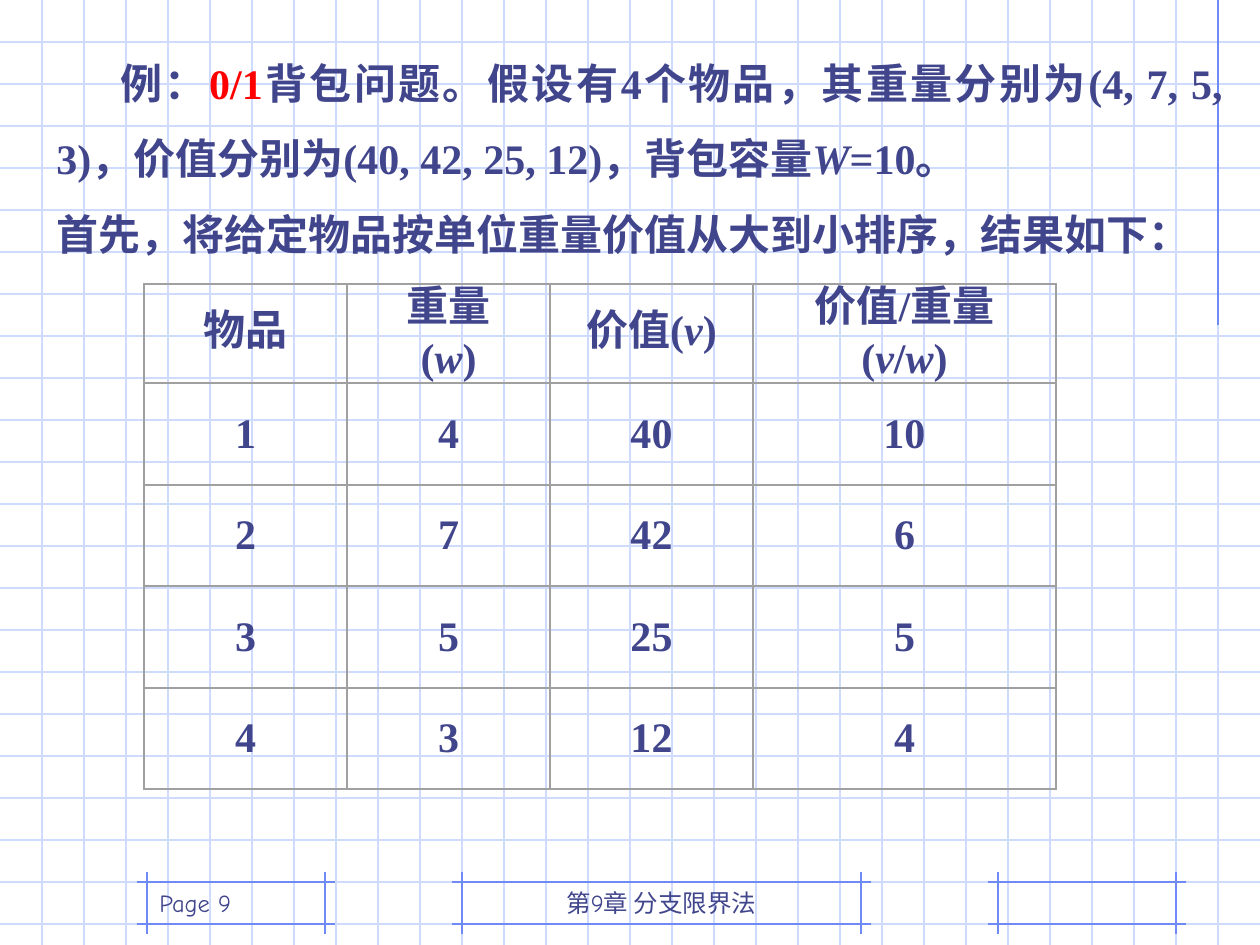
from lxml import etree
from pptx import Presentation
from pptx.dml.color import RGBColor
from pptx.enum.shapes import MSO_CONNECTOR
from pptx.enum.text import MSO_ANCHOR, PP_ALIGN
from pptx.oxml.ns import qn
from pptx.util import Emu, Pt

STRAIGHT = MSO_CONNECTOR.STRAIGHT
TOP, MIDDLE, BOTTOM = MSO_ANCHOR.TOP, MSO_ANCHOR.MIDDLE, MSO_ANCHOR.BOTTOM
LEFT, CENTER, JUSTIFY = PP_ALIGN.LEFT, PP_ALIGN.CENTER, PP_ALIGN.JUSTIFY

WIDTH, HEIGHT = 1260, 945
GRID_STEP = 42
INK, RED, GRID, FRAME, BORDER = "40458C", "FF0000", "CFDBFD", "6F89F7", "A0A0A0"
SERIF, HAND = "Times New Roman", "Comic Neue"

ITALIC = {"italic": True}
PROBLEM = [
    ("例：", {}),
    ("0/1", {"color": RED}),
    ("背包问题。假设有4个物品，其重量分别为(4, 7, 5, 3)，"
     "价值分别为(40, 42, 25, 12)，背包容量", {}),
    ("W", ITALIC),
    ("=10。", {}),
]
SORTING = [("首先，将给定物品按单位重量价值从大到小排序，结果如下：", {})]
HEADERS = [
    [("物品", {})],
    [("重量(", {}), ("w", ITALIC), (")", {})],
    [("价值(", {}), ("v", ITALIC), (")", {})],
    [("价值/重量(", {}), ("v", ITALIC), ("/", {}), ("w", ITALIC), (")", {})],
]
ITEMS = [(1, 4, 40, 10), (2, 7, 42, 6), (3, 5, 25, 5), (4, 3, 12, 4)]
COLUMN_WIDTHS = [203, 203, 203, 303]
ROW_HEIGHTS = [99, 102, 101, 102, 101]


def px(length):
    return Emu(round(length * 914400 / 126))


def rgb(color):
    return RGBColor.from_string(color)


def add_text(paragraph, text, size=24, font=SERIF, color=INK, bold=True, italic=False):
    run = paragraph.add_run()
    run.text = text
    run.font.size = Pt(size)
    run.font.name = font
    run.font.color.rgb = rgb(color)
    run.font.bold = bold
    run.font.italic = italic


def add_runs(paragraph, runs):
    for text, text_format in runs:
        add_text(paragraph, text, **text_format)


def add_line(slide, x1, y1, x2, y2, color):
    line = slide.shapes.add_connector(STRAIGHT, px(x1), px(y1), px(x2), px(y2))
    line.line.color.rgb = rgb(color)
    line.line.width = Pt(0.75)
    etree.SubElement(line._element.spPr, qn("a:effectLst"))


def add_text_box(slide, left, top, width, height, anchor):
    shape = slide.shapes.add_textbox(px(left), px(top), px(width), px(height))
    shape.text_frame.word_wrap = True
    shape.text_frame.vertical_anchor = anchor
    return shape.text_frame


def add_grid(slide, width, height):
    for y in range(GRID_STEP, height, GRID_STEP):
        add_line(slide, 0, y, width, y, GRID)
    for x in range(GRID_STEP, width, GRID_STEP):
        add_line(slide, x, 0, x, height, GRID)


def add_footer_frame(slide, left, top, width, height, overhang=10):
    right, bottom = left + width, top + height
    for y in (top, bottom):
        add_line(slide, left - overhang, y, right + overhang, y, FRAME)
    for x in (left, right):
        add_line(slide, x, top - overhang, x, bottom + overhang, FRAME)


def add_footer_label(slide, left, top, width, height, text, alignment):
    paragraph = add_text_box(slide, left, top, width, height, BOTTOM).paragraphs[0]
    paragraph.alignment = alignment
    add_text(paragraph, text, size=14, font=HAND, bold=False)


def add_footer(slide, top):
    for left, width in ((147, 178), (462, 399), (998, 178)):
        add_footer_frame(slide, left, top, width, GRID_STEP)
    add_footer_label(slide, 462, top - 21, 399, 63, "第9章 分支限界法", CENTER)
    add_footer_label(slide, 147, top - 21, 262, 63, "Page 9", LEFT)


def add_statement(slide, left, top, width, height):
    frame = add_text_box(slide, left, top, width, height, TOP)
    problem, sorting = frame.paragraphs[0], frame.add_paragraph()
    properties = problem._p.get_or_add_pPr()
    properties.set("marL", "0")
    properties.set("indent", str(px(64)))
    for paragraph, runs in ((problem, PROBLEM), (sorting, SORTING)):
        paragraph.alignment = JUSTIFY
        paragraph.line_spacing = 1.5
        add_runs(paragraph, runs)


def set_borders(cell):
    properties = cell._tc.get_or_add_tcPr()
    for position, side in enumerate(("lnL", "lnR", "lnT", "lnB")):
        border = etree.Element(qn(f"a:{side}"), w=str(Pt(0.75)))
        fill = etree.SubElement(border, qn("a:solidFill"))
        etree.SubElement(fill, qn("a:srgbClr"), val=BORDER)
        properties.insert(position, border)


def fill_cell(cell, runs, line_spacing):
    cell.fill.background()
    set_borders(cell)
    cell.vertical_anchor = MIDDLE
    cell.margin_left = cell.margin_right = px(33)
    cell.margin_top = cell.margin_bottom = 0
    paragraph = cell.text_frame.paragraphs[0]
    paragraph.alignment = CENTER
    paragraph.line_spacing = line_spacing
    add_runs(paragraph, runs)


def add_item_table(slide, left, top):
    rows = [HEADERS] + [[[(str(value), {})] for value in item] for item in ITEMS]
    table = slide.shapes.add_table(
        len(rows), len(COLUMN_WIDTHS), px(left), px(top),
        px(sum(COLUMN_WIDTHS)), px(sum(ROW_HEIGHTS))).table
    table.first_row = table.horz_banding = False
    for column, width in zip(table.columns, COLUMN_WIDTHS):
        column.width = px(width)
    for row, height in zip(table.rows, ROW_HEIGHTS):
        row.height = px(height)
    for row_index, row in enumerate(rows):
        line_spacing = 1.0 if row_index else Pt(28)
        for column_index, runs in enumerate(row):
            fill_cell(table.cell(row_index, column_index), runs, line_spacing)


def main():
    presentation = Presentation()
    presentation.slide_width, presentation.slide_height = px(WIDTH), px(HEIGHT)
    slide = presentation.slides.add_slide(presentation.slide_layouts[6])
    add_grid(slide, WIDTH, HEIGHT)
    add_line(slide, 1218, 0, 1218, 325, FRAME)
    add_footer(slide, 882)
    add_statement(slide, 44, 26, 1191, 239)
    add_item_table(slide, 144, 284)
    presentation.save("out.pptx")


if __name__ == "__main__":
    main()
